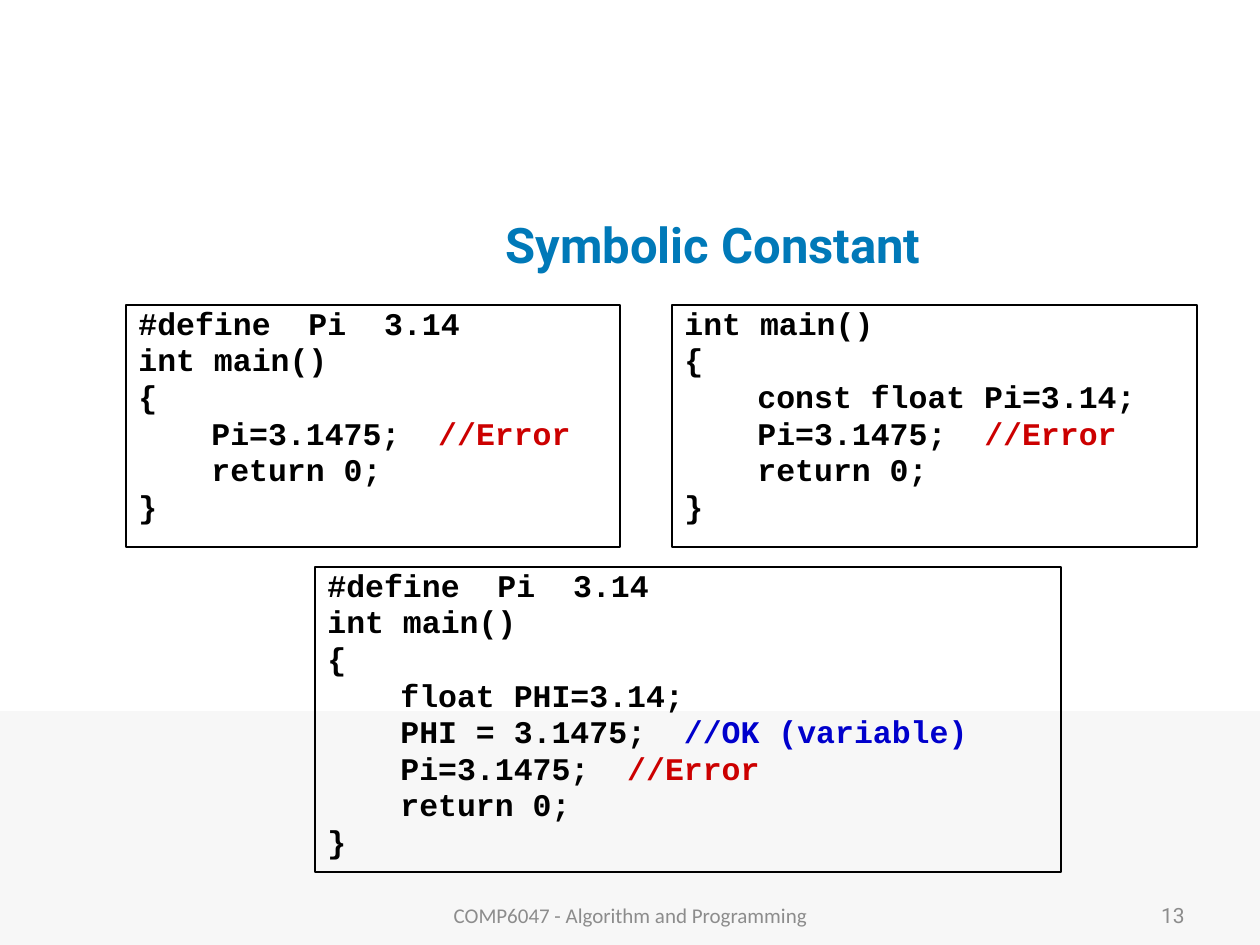
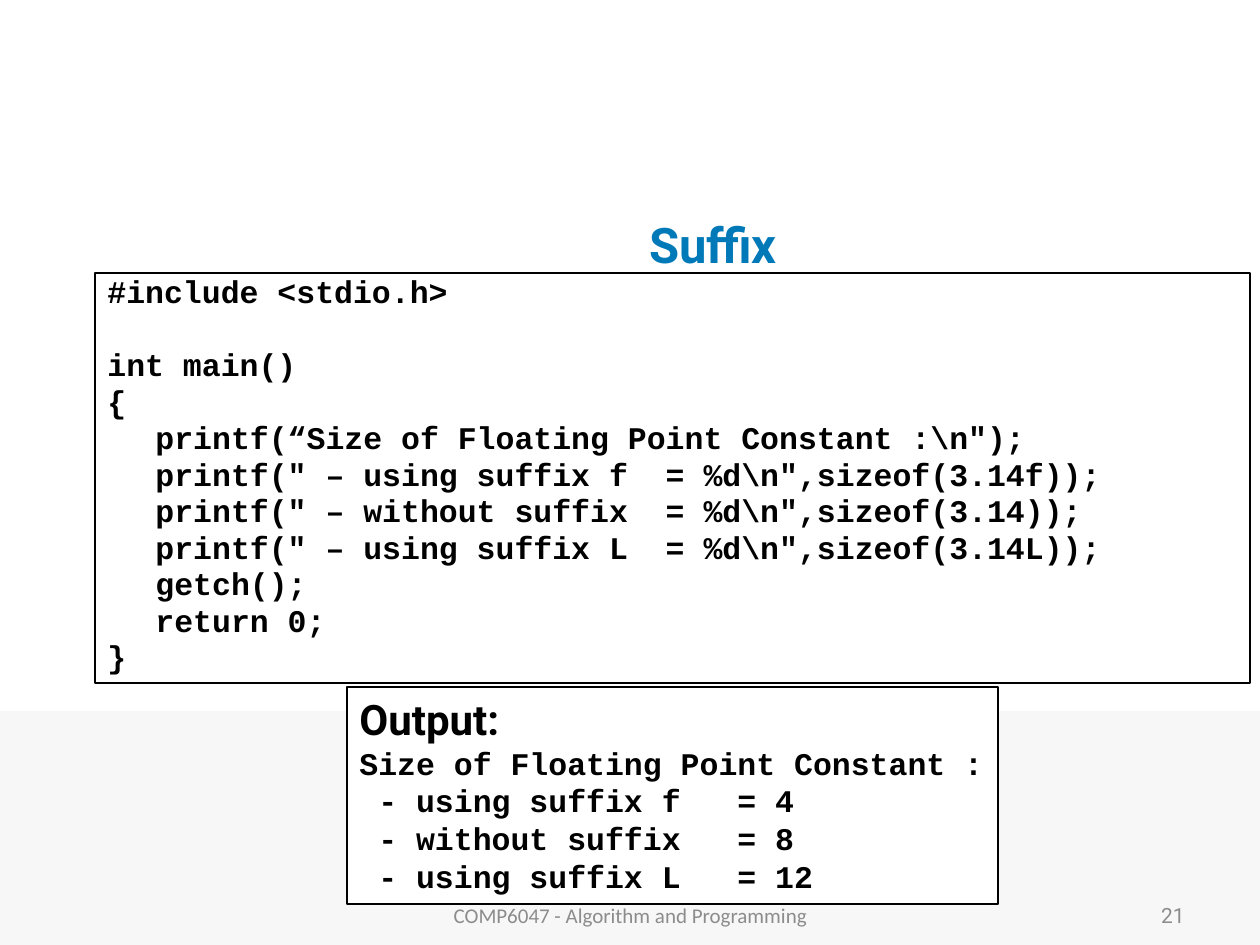
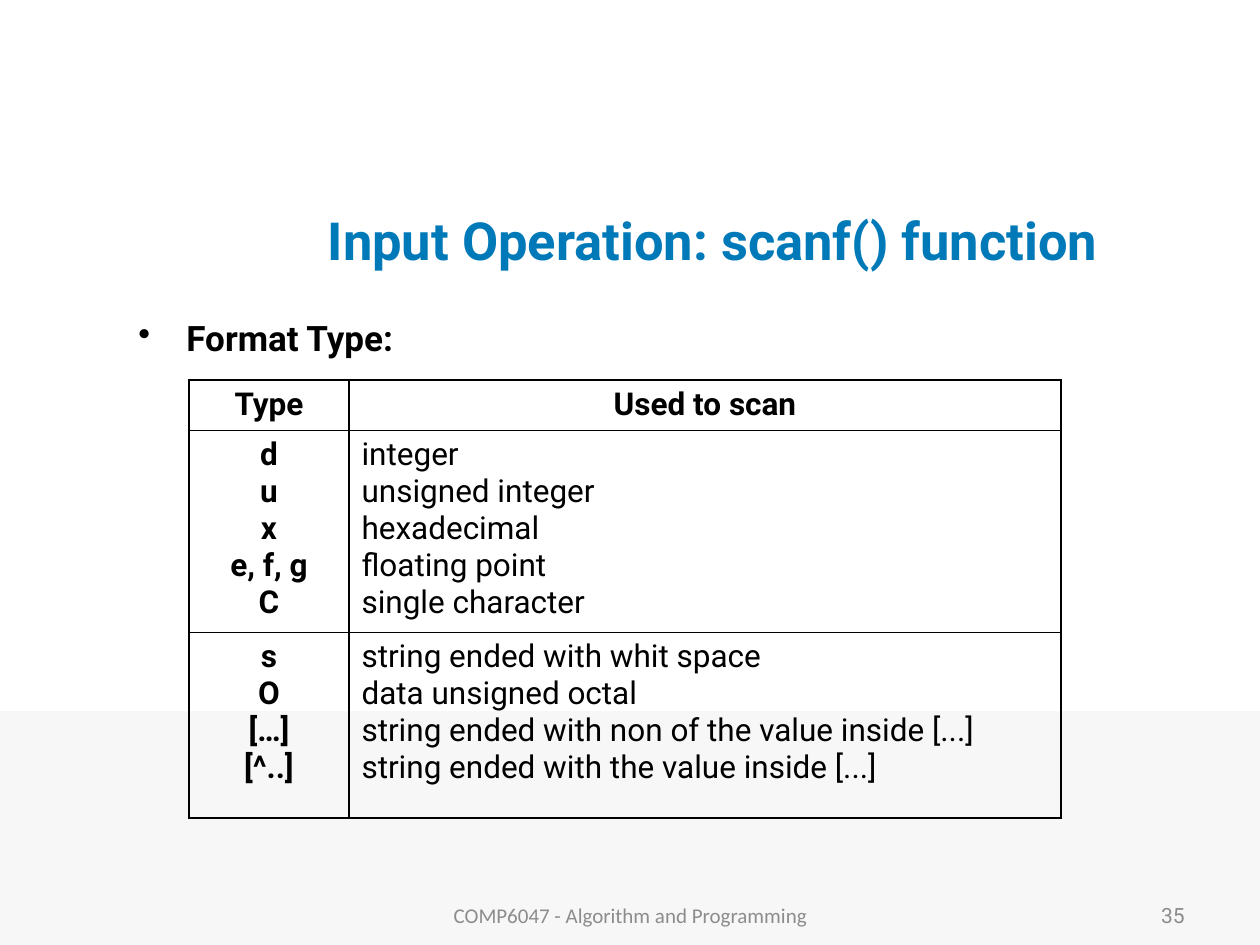
from lxml.etree import SubElement
from pptx import Presentation
from pptx.dml.color import RGBColor
from pptx.enum.shapes import MSO_SHAPE
from pptx.enum.text import MSO_ANCHOR, PP_ALIGN
from pptx.oxml.ns import qn
from pptx.util import Pt

BLACK = RGBColor(0, 0, 0)
WHITE = RGBColor(255, 255, 255)
PALE = RGBColor(0xF7, 0xF7, 0xF7)
GREY = RGBColor(0x8C, 0x8C, 0x8C)
BLUE = RGBColor(0, 0x79, 0xB8)
RED = RGBColor(0xCC, 0, 0)
NAVY = RGBColor(0, 0, 0xCC)

SANS, MONO = "Roboto", "Courier New"
TITLE = dict(name=SANS, size=Pt(28), bold=True, color=BLUE)
LONG = {**TITLE, "size": Pt(30)}
NOTE = dict(name=SANS, size=Pt(12), color=GREY)
FOOT = {**NOTE, "name": "Calibri"}
CODE = dict(name=MONO, size=Pt(18), bold=True, color=BLACK)
HEAD = dict(name=SANS, size=Pt(24), bold=True, color=BLACK)
ITEM = {**HEAD, "size": Pt(20)}
KEY = {**HEAD, "size": Pt(18)}
USE = {**KEY, "bold": False}
TIGHT = dict(line_spacing=0.8, space_before=Pt(3.6))
MID = dict(alignment=PP_ALIGN.CENTER)
END = dict(alignment=PP_ALIGN.RIGHT)

COURSE = "COMP6047 - Algorithm and Programming"
MARKS = {"//Error": RED, "//OK (variable)": NAVY}

SYMBOL = [
    ((126, 305, 494, 242), 73, [
        "#define  Pi  3.14", "int main()", "{",
        "\tPi=3.1475;  //Error", "\treturn 0;", "}"]),
    ((672, 305, 525, 242), 73, [
        "int main()", "{", "\tconst float Pi=3.14;",
        "\tPi=3.1475;  //Error", "\treturn 0;", "}"]),
    ((315, 567, 746, 305), 73, [
        "#define  Pi  3.14", "int main()", "{", "\tfloat PHI=3.14;",
        "\tPHI = 3.1475;  //OK (variable)", "\tPi=3.1475;  //Error",
        "\treturn 0;", "}"]),
]
SUFFIX = [
    ((95, 273, 1155, 410), 48, [
        "#include <stdio.h>", "", "int main()", "{",
        "\tprintf(“Size of Floating Point Constant :\\n\");",
        "\tprintf(\" – using suffix f  = %d\\n\",sizeof(3.14f));",
        "\tprintf(\" – without suffix  = %d\\n\",sizeof(3.14));",
        "\tprintf(\" – using suffix L  = %d\\n\",sizeof(3.14L));",
        "\tgetch();", "\treturn 0;", "}"]),
]
RESULT = [
    "Size of Floating Point Constant :", " - using suffix f\t= 4",
    " - without suffix\t= 8", " - using suffix L\t= 12",
]
TYPES = [
    (50, ["Type"], ["Used to scan"]),
    (198, ["d", "u", "x", "e, f, g", "C"],
     ["integer", "unsigned integer", "hexadecimal", "floating point",
      "single character"]),
    (186, ["s", "O", "[…]", "[^..]"],
     ["string ended with whit space", "data unsigned octal",
      "string ended with non of the value inside [...]",
      "string ended with the value inside [...]"]),
]


def px(n):
    return round(n * 914400 / 126)


def put(para, text, font, form=None):
    run = para.add_run()
    run.text = text
    for key, val in font.items():
        if key == "color":
            run.font.color.rgb = val
        else:
            setattr(run.font, key, val)
    for key, val in (form or {}).items():
        setattr(para, key, val)


def fill(frame, lines, font, form=None):
    for i, text in enumerate(lines):
        para = frame.add_paragraph() if i else frame.paragraphs[0]
        put(para, text, font, form)


def label(slide, area, text, font, form=None, anchor=MSO_ANCHOR.MIDDLE):
    frame = slide.shapes.add_textbox(*map(px, area)).text_frame
    frame.word_wrap = True
    frame.vertical_anchor = anchor
    fill(frame, [text], font, form)
    return frame.paragraphs[0]


def box(slide, area, tint=None, line=None):
    shape = slide.shapes.add_shape(MSO_SHAPE.RECTANGLE, *map(px, area))
    shape.shadow.inherit = False
    for part, color in ((shape.fill, tint), (shape.line.fill, line)):
        if color is None:
            part.background()
        else:
            part.solid()
            part.fore_color.rgb = color
    if line is not None:
        shape.line.width = Pt(0.75)
    frame = shape.text_frame
    frame.word_wrap = True
    frame.vertical_anchor = MSO_ANCHOR.TOP
    frame.paragraphs[0].alignment = PP_ALIGN.LEFT
    return frame


def listing(slide, area, step, lines):
    frame = box(slide, area, line=BLACK)
    para, gap = frame.paragraphs[0], 0
    for i, text in enumerate(lines):
        if not text:
            gap = Pt(20.9)
            continue
        if i:
            para = frame.add_paragraph()
        form = {**TIGHT, "alignment": PP_ALIGN.LEFT,
                "space_before": TIGHT["space_before"] + gap}
        gap = 0
        if text.startswith("\t"):
            para._p.get_or_add_pPr().set("marL", str(px(step)))
        code, mark, rest = text.strip("\t").partition("//")
        put(para, code, CODE, form)
        if mark:
            put(para, mark + rest, {**CODE, "color": MARKS[mark + rest]})


def output(slide):
    frame = box(slide, (347, 687, 651, 217), WHITE, BLACK)
    left = dict(alignment=PP_ALIGN.LEFT)
    put(frame.paragraphs[0], "Output:", HEAD, left)
    for text in RESULT:
        put(frame.add_paragraph(), text, CODE, left)


def edge(cell, sides):
    props = cell._tc.get_or_add_tcPr()
    for side, width in sides.items():
        line = SubElement(props, qn("a:ln" + side), w=str(Pt(width)))
        paint = SubElement(line, qn("a:solidFill"))
        SubElement(paint, qn("a:srgbClr"), val=str(BLACK))
    cell.fill.background()


def formats(slide):
    para = label(slide, (126, 315, 1081, 513), "Format Type:", ITEM,
                 dict(line_spacing=0.9, space_before=Pt(4)), MSO_ANCHOR.TOP)
    props = para._p.get_or_add_pPr()
    props.set("marL", str(px(48)))
    props.set("indent", str(px(-48)))
    SubElement(props, qn("a:buChar"), char="•")

    high = sum(row[0] for row in TYPES)
    table = slide.shapes.add_table(
        len(TYPES), 2, *map(px, (189, 380, 872, high))).table
    table.first_row = table.horz_banding = False
    for col, wide in zip(table.columns, (160, 712)):
        col.width = px(wide)
    for i, (tall, *cells) in enumerate(TYPES):
        table.rows[i].height = px(tall)
        for j, lines in enumerate(cells):
            cell = table.cell(i, j)
            use = i and j
            fill(cell.text_frame, lines, USE if use else KEY,
                 None if use else MID)
            edge(cell, dict(L=1, R=1, T=0.75 if i == 2 else 1,
                            B=0.75 if i == 1 else 1))


def symbols(slide):
    for part in SYMBOL:
        listing(slide, *part)


def suffixes(slide):
    for part in SUFFIX:
        listing(slide, *part)
    output(slide)


SLIDES = [
    ("Symbolic Constant", TITLE, "13", symbols),
    ("Suffix", TITLE, "21", suffixes),
    ("Input Operation: scanf() function", {**LONG}, "35", formats),
]


def main():
    deck = Presentation()
    deck.slide_width, deck.slide_height = px(1260), px(945)
    for title, font, num, draw in SLIDES:
        slide = deck.slides.add_slide(deck.slide_layouts[6])
        box(slide, (0, 711, 1260, 234), PALE)
        form = {**MID, "line_spacing": 0.9} if font == LONG else MID
        label(slide, (242, 189, 942, 110), title, font, form)
        label(slide, (903, 890, 294, 50), num, NOTE, END)
        draw(slide)
        label(slide, (431, 890, 399, 50), COURSE, FOOT, MID)
    deck.save("out.pptx")


if __name__ == "__main__":
    main()
